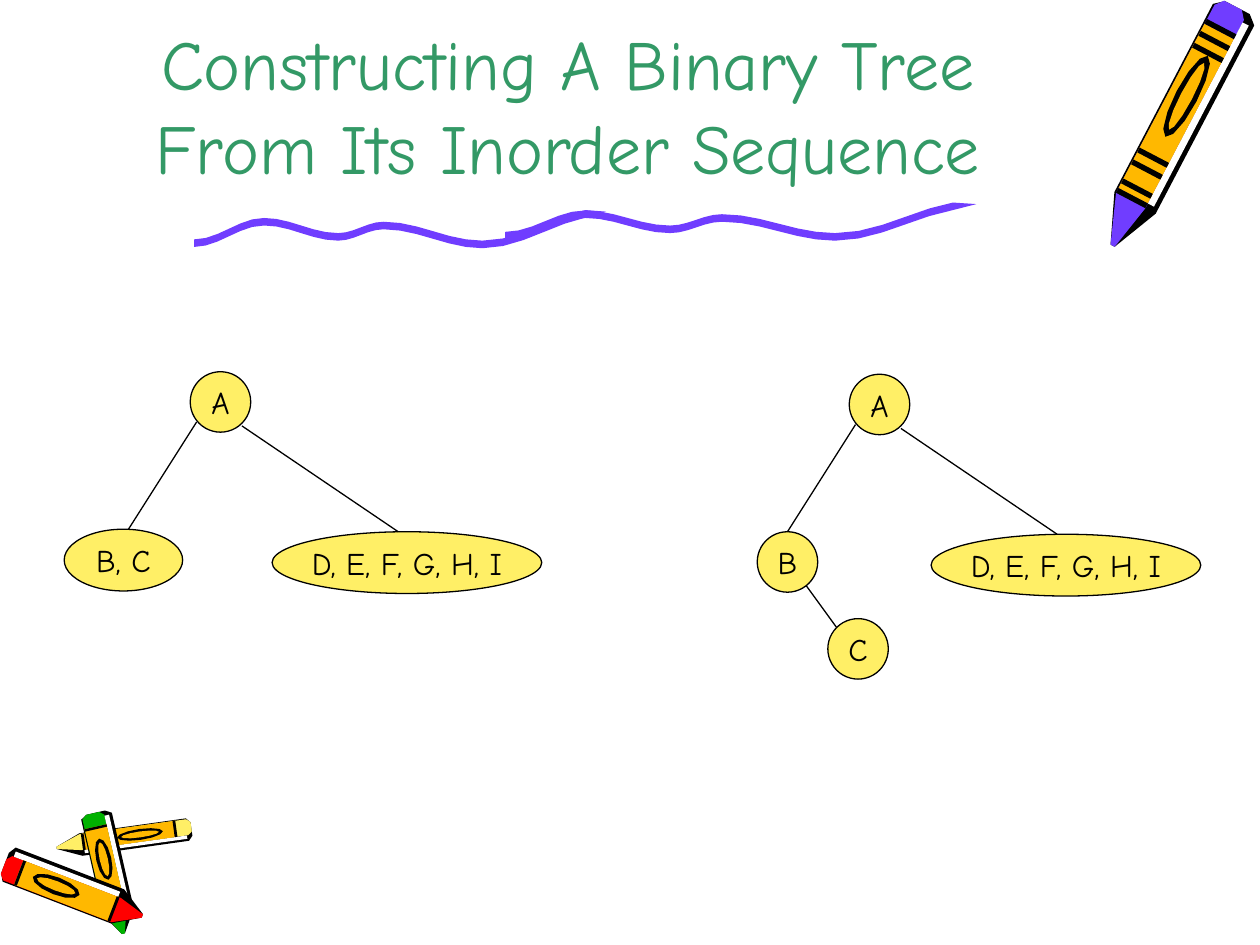
import math

from lxml import etree
from pptx import Presentation
from pptx import util as u
from pptx.dml.color import RGBColor
from pptx.enum import shapes, text
from pptx.oxml import ns

BLACK = RGBColor(0x00, 0x00, 0x00)
WHITE = RGBColor(0xFF, 0xFF, 0xFF)
YELLOW = RGBColor(0xFF, 0xEF, 0x66)
ORANGE = RGBColor(0xFF, 0xB8, 0x00)
RED = RGBColor(0xFF, 0x00, 0x00)
GREEN = RGBColor(0x00, 0xB2, 0x00)
PURPLE = RGBColor(0x70, 0x3D, 0xFF)
TITLE_GREEN = RGBColor(0x33, 0x99, 0x66)

NODE = 0.48
LEAF_HEIGHT = 0.49
SECOND_TREE = (5.23, 0.02)

# Share of the wave's length, height on the slide: its crests and troughs.
WAVE_BENDS = [(0, 1.93), (0.17, 1.76), (0.35, 1.88), (0.46, 1.79), (0.7, 1.94), (1, 1.68)]
WAVE_THICKNESS = 0.06
WAVE_STEPS = 6


def write(frame, words, size=18, color=BLACK, font="Comic Neue", wrap=False,
          anchor=text.MSO_ANCHOR.MIDDLE, align=text.PP_ALIGN.CENTER):
    frame.auto_size = text.MSO_AUTO_SIZE.NONE
    frame.word_wrap = wrap
    frame.vertical_anchor = anchor
    para = frame.paragraphs[0]
    para.alignment = align
    span = para.add_run()
    span.text = words
    span.font.name = font
    span.font.size = u.Pt(size)
    span.font.color.rgb = color


# Crayon parts are outlined as (along, across): along runs from 0 at the blunt
# end to 1 at the tip, across from -0.5 to 0.5 over the width.
def stripe(start, end, low, high):
    return [(start, low), (start, high), (end, high), (end, low)]


def pointed_stick(low, high, taper=0.82):
    shoulder = 0.03
    inset = (high - low) / 5
    return [(0, low + inset), (0, high - inset), (shoulder, high), (taper, high),
            (1, 0.05), (1, -0.05), (taper, low), (shoulder, low)]


def oval_label(length, width, center=(0.38, -0.08), corners=12):
    angles = [math.tau * i / corners for i in range(corners)]
    return [(center[0] + length / 2 * math.cos(a), center[1] + width / 2 * math.sin(a))
            for a in angles]


def wave_outline(left, length, lift=0):
    """Ease from bend to bend along the top, then come back along the bottom."""
    top = []
    for (x1, y1), (x2, y2) in zip(WAVE_BENDS, WAVE_BENDS[1:]):
        for step in range(WAVE_STEPS):
            part = step / WAVE_STEPS
            ease = (1 - math.cos(math.pi * part)) / 2
            top.append((x1 + (x2 - x1) * part, y1 + (y2 - y1) * ease))
    half = WAVE_THICKNESS / 2
    upper = [(left + length * x, y - half - lift) for x, y in top]
    lower = [(x, y + WAVE_THICKNESS) for x, y in reversed(upper)]
    end_x, end_y = WAVE_BENDS[-1]
    return upper + [(left + length * end_x, end_y - lift)] + lower


class Sketch:
    def __init__(self, page, fill=YELLOW, ink=BLACK, line_width=0.75):
        self.page = page
        self.fill = fill
        self.ink = ink
        self.line_width = line_width

    def title(self, words, left, top, width, height):
        box = self.page.shapes.title
        box.left, box.top, box.width, box.height = map(u.Inches, (left, top, width, height))
        write(box.text_frame, words, size=40, color=TITLE_GREEN, wrap=True,
              anchor=text.MSO_ANCHOR.BOTTOM)

    def outline(self, parent, points, color):
        corners = [(u.Inches(x), u.Inches(y)) for x, y in points]
        builder = parent.shapes.build_freeform(*corners[0])
        builder.add_line_segments(corners[1:], close=True)
        piece = builder.convert_to_shape()
        piece.shadow.inherit = False
        piece.fill.solid()
        piece.fill.fore_color.rgb = color
        piece.line.fill.background()

    def crayon(self, blunt_end, tip, width, color, bands):
        """Layer a crayon from its shell to its label; bands are places along it."""
        (x, y), dx, dy = blunt_end, tip[0] - blunt_end[0], tip[1] - blunt_end[1]
        ratio = width / math.hypot(dx, dy)
        edge, shine = -0.46, 0.25
        layers = [
            (self.ink, pointed_stick(-0.5, 0.5)),
            (color, pointed_stick(edge, shine)),
            (WHITE, stripe(0.04, 0.8, shine, 0.4)),
            (ORANGE, stripe(0.11, 0.8, edge, shine)),
            *[(self.ink, stripe(band, band + 0.02, edge, shine)) for band in bands],
            (self.ink, oval_label(0.34, 0.48)),
            (ORANGE, oval_label(0.28, 0.26)),
        ]
        group = self.page.shapes.add_group_shape()
        for layer_color, part in layers:
            points = [(x + dx * along + dy * ratio * across,
                       y + dy * along - dx * ratio * across) for along, across in part]
            self.outline(group, points, layer_color)

    def node(self, words, left, top, width=NODE, height=NODE):
        oval = self.page.shapes.add_shape(
            shapes.MSO_SHAPE.OVAL, *map(u.Inches, (left, top, width, height)))
        oval.shadow.inherit = False
        oval.fill.solid()
        oval.fill.fore_color.rgb = self.fill
        oval.line.color.rgb = self.ink
        oval.line.width = u.Pt(self.line_width)
        write(oval.text_frame, words)
        return oval

    def edge(self, x1, y1, x2, y2):
        line = self.page.shapes.add_connector(
            shapes.MSO_CONNECTOR.STRAIGHT, *map(u.Inches, (x1, y1, x2, y2)))
        line.line.color.rgb = self.ink
        line.line.width = u.Pt(self.line_width)
        etree.SubElement(line._element.spPr, ns.qn("a:effectLst"))
        return line

    def root_with_right_leaf(self, dx=0, dy=0):
        """Draw what both trees share and return the edge to the left child."""
        self.node("A", 1.51 + dx, 2.95 + dy)
        self.node("D, E, F, G, H, I", 2.16 + dx, 4.22 + dy, 2.14, LEAF_HEIGHT)
        self.edge(1.92 + dx, 3.38 + dy, 3.16 + dx, 4.22 + dy)
        return self.edge(1.56 + dx, 3.35 + dy, 1.02 + dx, 4.2 + dy)


def main():
    deck = Presentation()
    deck.slide_width, deck.slide_height = u.Inches(10), u.Inches(7.5)
    page = deck.slides.add_slide(deck.slide_layouts[5])
    sketch = Sketch(page)

    cap_and_collar = [0.11, 0.79]
    sketch.crayon((1.52, 6.58), (0.45, 6.73), 0.18, YELLOW, cap_and_collar)
    sketch.crayon((0.76, 6.45), (0.98, 7.41), 0.25, GREEN, cap_and_collar)
    sketch.crayon((0.04, 6.85), (1.13, 7.27), 0.29, RED, cap_and_collar)
    sketch.crayon((9.82, 0.06), (8.83, 1.95), 0.37, PURPLE,
                  [0.09, 0.14, 0.19, 0.63, 0.68, 0.76, 0.8])
    sketch.outline(page, wave_outline(1.54, 3.27), PURPLE)
    sketch.outline(page, wave_outline(4.01, 3.74, lift=0.06), PURPLE)
    sketch.title("Constructing A Binary Tree From Its Inorder Sequence", 0.75, 0, 7.51, 1.55)

    sketch.root_with_right_leaf()
    sketch.node("B, C", 0.51, 4.2, 0.94, LEAF_HEIGHT)

    left_edge = sketch.root_with_right_leaf(*SECOND_TREE)
    left_edge.end_connect(sketch.node("B", 6.01, 4.22), 0)
    sketch.node("C", 6.57, 4.91)
    sketch.edge(6.4, 4.65, 6.64, 4.98)

    deck.save("out.pptx")


if __name__ == "__main__":
    main()
